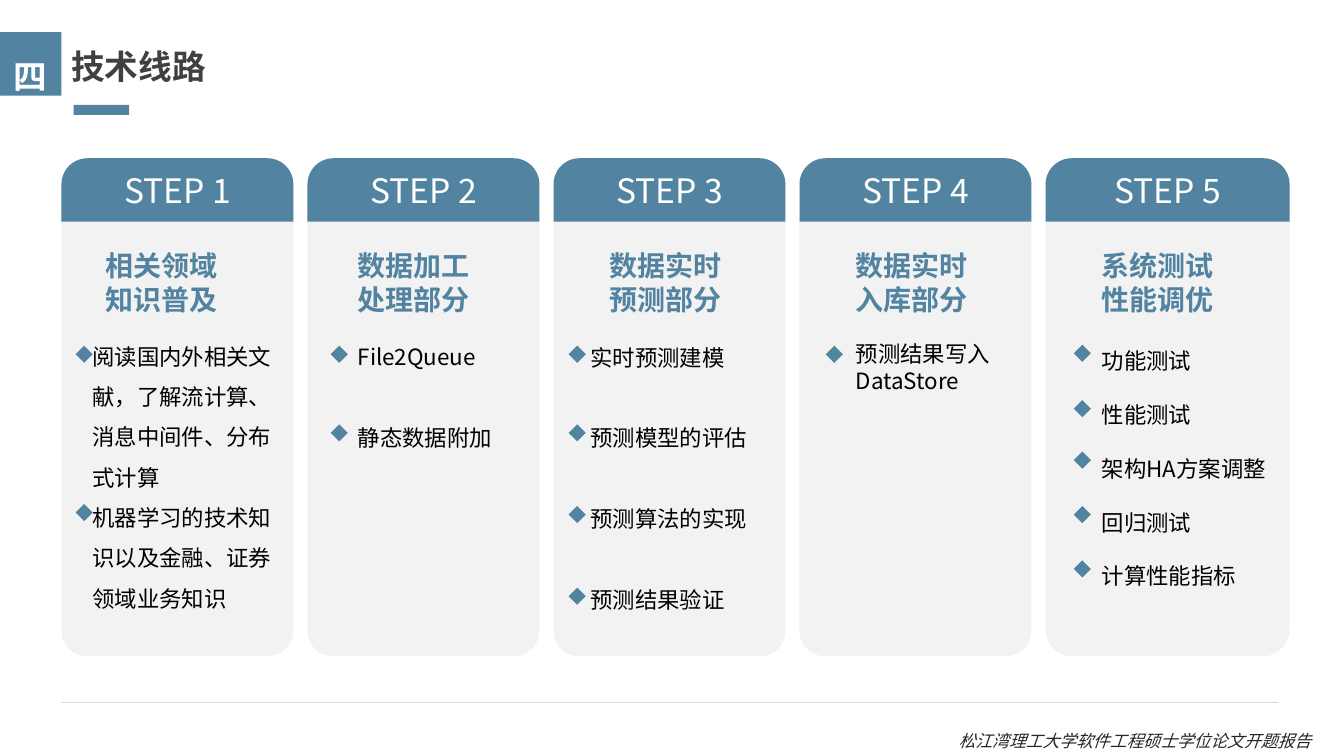
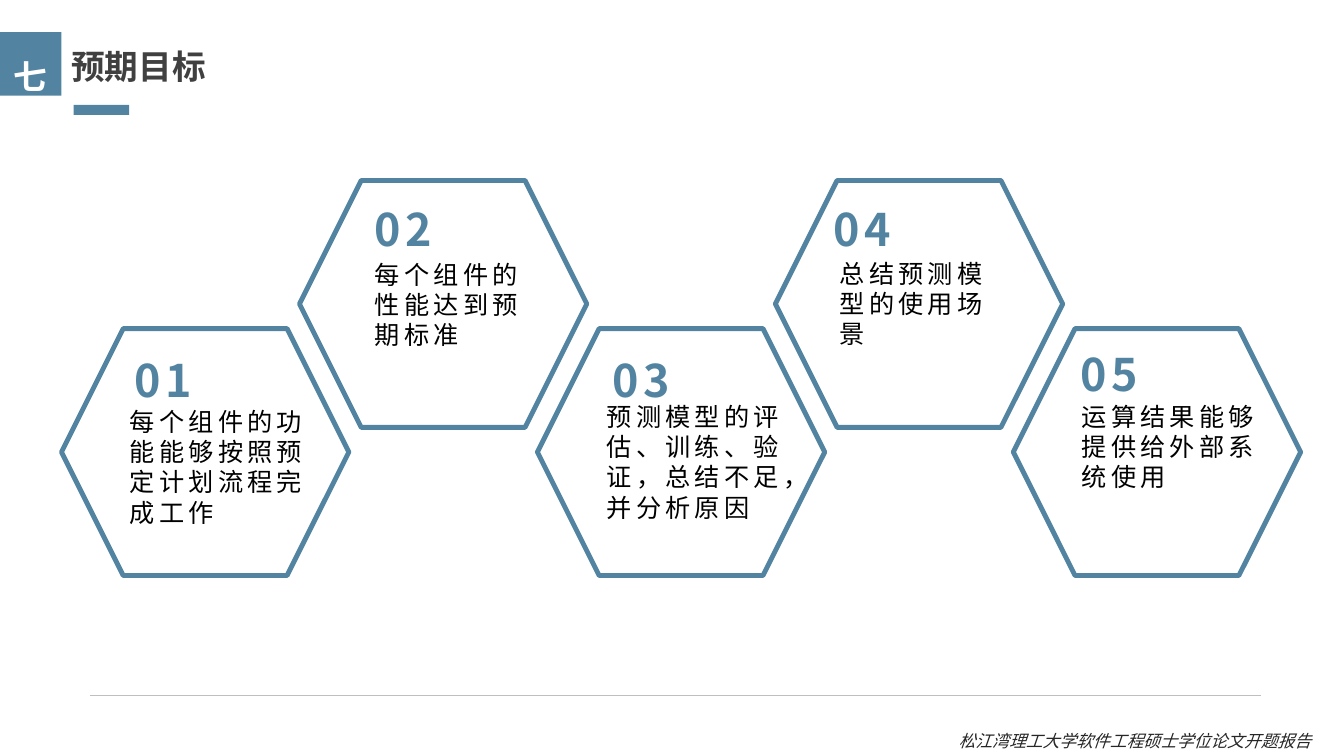
from lxml import etree
from pptx import Presentation
from pptx import util as u
from pptx.dml.color import RGBColor
from pptx.enum import shapes, text
from pptx.oxml.ns import qn

COLORS = {
    "blue": "5284A1", "panel": "F2F2F2", "title": "404040", "footer": "262626",
    "black": "000000", "white": "FFFFFF", "rule": "D9D9D9", "dark_rule": "BFBFBF",
}
SC, JP, LATIN = "Noto Sans CJK SC", "Noto Sans CJK JP", "Calibri"
FOOTER = "松江湾理工大学软件工程硕士学位论文开题报告"
SHAPE = shapes.MSO_SHAPE


def add_shape(slide, kind, box, fill=None, line=None):
    shape = slide.shapes.add_shape(kind, *map(u.Inches, box))
    shape.shadow.inherit = False
    if fill:
        shape.fill.solid()
        shape.fill.fore_color.rgb = RGBColor.from_string(COLORS[fill])
    else:
        shape.fill.background()
    if line:
        shape.line.color.rgb = RGBColor.from_string(COLORS[line])
        shape.line.width = u.Pt(3.5)
    else:
        shape.line.fill.background()
    return shape


def write(frame, lines, size, color, leading=None, gap=0, font=SC,
          bold=False, italic=False, tracking=0, align=text.PP_ALIGN.LEFT):
    """Fill a text frame, one paragraph a line; leading and gap are points."""
    frame.word_wrap = True
    for index, line in enumerate(lines):
        paragraph = frame.paragraphs[0] if index == 0 else frame.add_paragraph()
        paragraph.alignment = align
        if leading:
            paragraph.line_spacing = u.Pt(leading)
        if index:
            paragraph.space_before = u.Pt(gap)
        run = paragraph.add_run()
        run.text = line
        run.font.size = u.Pt(size)
        run.font.bold = bold
        run.font.italic = italic
        run.font.color.rgb = RGBColor.from_string(COLORS[color])
        run.font.name = font
        properties = run.font._element
        etree.SubElement(properties, qn("a:ea")).set("typeface", font)
        if tracking:
            properties.set("spc", str(tracking * 100))


presentation = Presentation()
presentation.slide_width = u.Inches(13.33)
presentation.slide_height = u.Inches(7.5)

# Shared frame: title, accent bar, section badge, bottom rule, footer
slides = []
for number, title, rule_left, rule_right, rule_top, rule_color in [
    ("四", "技术线路", 0.61, 12.68, 6.97, "rule"),
    ("七", "预期目标", 0.89, 12.51, 6.9, "dark_rule"),
]:
    slide = presentation.slides.add_slide(presentation.slide_layouts[6])
    slides.append(slide)
    title_box = slide.shapes.add_textbox(*map(u.Inches, (0.61, 0.41, 4.75, 0.5)))
    write(title_box.text_frame, [title], 24, "title", 28.8, bold=True)
    add_shape(slide, SHAPE.RECTANGLE, (0.73, 1.04, 0.55, 0.1), "blue")

    badge = add_shape(slide, SHAPE.RECTANGLE, (0, 0.32, 0.61, 0.63), "blue")
    badge.text_frame.margin_top = badge.text_frame.margin_bottom = 0
    badge.text_frame.vertical_anchor = text.MSO_ANCHOR.MIDDLE
    write(badge.text_frame, [number], 24, "white", 46, font=JP, bold=True,
          align=text.PP_ALIGN.CENTER)

    rule = slide.shapes.add_connector(
        shapes.MSO_CONNECTOR.STRAIGHT,
        *map(u.Inches, (rule_left, rule_top, rule_right, rule_top)))
    rule.line.color.rgb = RGBColor.from_string(COLORS[rule_color])
    rule.line.width = u.Pt(0.5)
    etree.SubElement(rule._element.spPr, qn("a:effectLst"))

    footer_box = slide.shapes.add_textbox(*map(u.Inches, (9.41, 7.2, 3.92, 0.3)))
    write(footer_box.text_frame, [FOOTER], 12, "footer", 14.4, font=LATIN, italic=True)

steps_slide, goals_slide = slides

# Step columns: heading left, body box, leading, gap, lines, diamond left and tops
steps = [
    (["相关领域", "知识普及"], 0.95, (0.82, 3.22, 2, 2.93), 28.8, 0,
     ["阅读国内外相关文献，了解流计算、消息中间件、分布式计算",
      "机器学习的技术知识以及金融、证券领域业务知识"],
     0.75, [3.43, 5]),
    (["数据加工", "处理部分"], 3.45, (3.45, 3.22, 1.73, 1.31), 28.8, 28.8,
     ["File2Queue", "静态数据附加"], 3.28, [3.43, 4.21]),
    (["数据实时", "预测部分"], 5.95, (5.76, 3.23, 1.85, 2.93), 28.8, 28.8,
     ["实时预测建模", "预测模型的评估", "预测算法的实现", "预测结果验证"],
     5.64, [3.43, 4.21, 5.02, 5.83]),
    (["数据实时", "入库部分"], 8.39, (8.39, 3.33, 1.65, 0.64), 19.2, 0,
     ["预测结果写入DataStore"], 8.19, [3.43]),
    (["系统测试", "性能调优"], 10.83, (10.83, 3.13, 1.96, 2.79), 38.4, 0,
     ["功能测试", "性能测试", "架构HA方案调整", "回归测试", "计算性能指标"],
     10.65, [3.42, 3.97, 4.48, 5.02, 5.56]),
]
for index, (heading, heading_left, body, leading, gap, lines,
            diamond_left, diamond_tops) in enumerate(steps):
    left = 0.61 + 2.44 * index
    width = 2.42 if index == len(steps) - 1 else 2.3
    panel = add_shape(steps_slide, SHAPE.ROUNDED_RECTANGLE,
                      (left, 1.57, width, 4.94), "panel")
    panel.adjustments[0] = 0.11
    header = add_shape(steps_slide, SHAPE.ROUND_2_SAME_RECTANGLE,
                       (left, 1.57, width, 0.63), "blue")
    header.adjustments[0] = 0.41
    header.text_frame.margin_top = 0
    header.text_frame.margin_bottom = u.Inches(0.07)
    header.text_frame.vertical_anchor = text.MSO_ANCHOR.MIDDLE
    write(header.text_frame, [f"STEP {index + 1}"], 24, "white", font=JP,
          align=text.PP_ALIGN.CENTER)

    heading_box = steps_slide.shapes.add_textbox(
        *map(u.Inches, (heading_left, 2.42, 1.5, 0.77)))
    write(heading_box.text_frame, heading, 20, "blue", 24, bold=True)
    body_box = steps_slide.shapes.add_textbox(*map(u.Inches, body))
    write(body_box.text_frame, lines, 16, "black", leading, gap)
    for top in diamond_tops:
        add_shape(steps_slide, SHAPE.DIAMOND, (diamond_left, top, 0.17, 0.17), "blue")

# Goal hexagons: number position, goal box, goal
goals = [
    (1.24, 3.18, (1.19, 3.98, 1.97, 1.31), "每个组件的功能能够按照预定计划流程完成工作"),
    (3.62, 1.69, (3.62, 2.52, 1.68, 1.01), "每个组件的性能达到预期标准"),
    (5.98, 3.18, (5.92, 3.93, 2.06, 1.31), "预测模型的评估、训练、验证，总结不足，并分析原因"),
    (8.17, 1.69, (8.23, 2.51, 1.81, 1.01), "总结预测模型的使用场景"),
    (10.62, 3.12, (10.63, 3.93, 2.13, 1.01), "运算结果能够提供给外部系统使用"),
]
for index, (number_left, number_top, goal_box, goal) in enumerate(goals):
    hexagon_top = 1.79 if index % 2 else 3.26
    add_shape(goals_slide, SHAPE.HEXAGON,
              (0.61 + 2.36 * index, hexagon_top, 2.85, 2.45), line="blue")
    number_box = goals_slide.shapes.add_textbox(
        *map(u.Inches, (number_left, number_top, 0.97, 0.9)))
    write(number_box.text_frame, [f"{index + 1:02}"], 32, "blue", 57.6,
          bold=True, tracking=3)
    goal_text = goals_slide.shapes.add_textbox(*map(u.Inches, goal_box))
    write(goal_text.text_frame, [goal], 18, "black", 21.6, tracking=3)

presentation.save("out.pptx")
